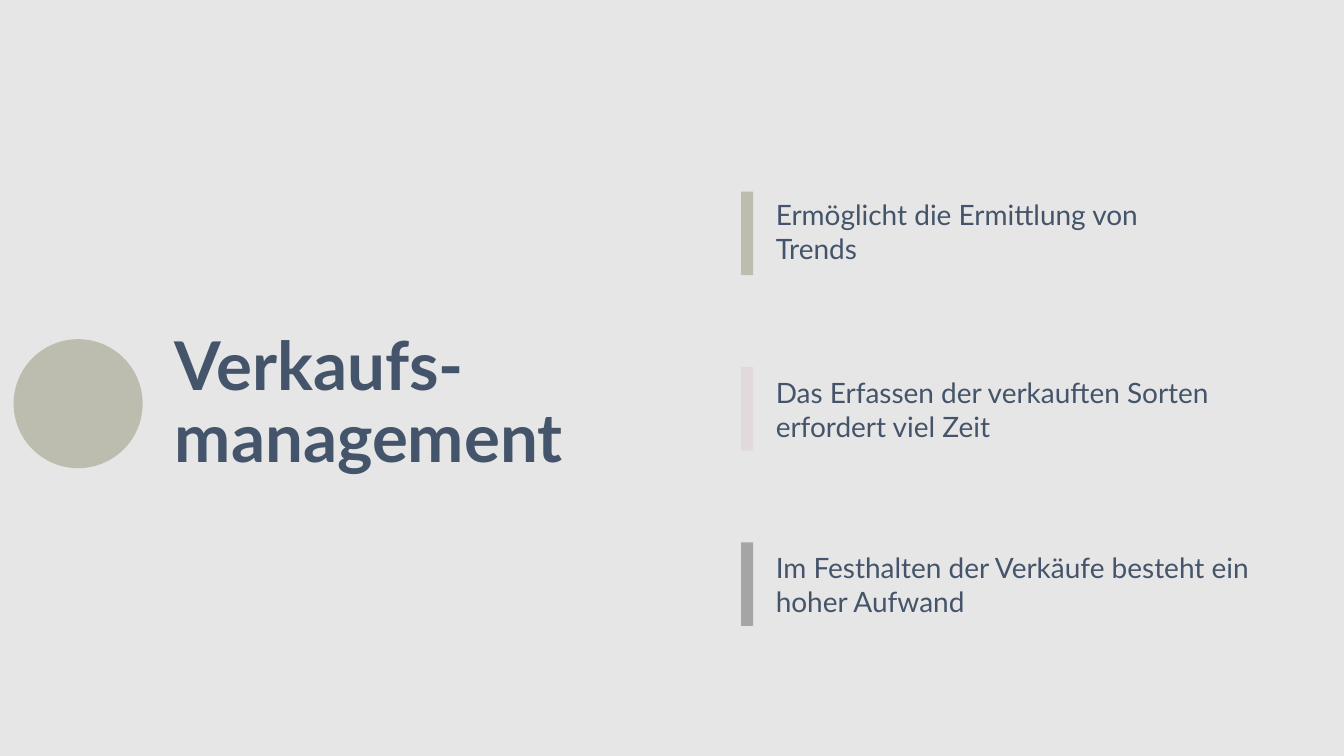
import pptx
import pptx.util
import pptx.dml.color
import pptx.enum.shapes
import pptx.enum.text

EMU_PER_PX = 9144
COLORS = {
    "background": "E7E6E6",
    "text": "44546A",
    "sage": "BCBCAF",
    "rose": "E2D9DD",
    "gray": "A5A5A5",
}
SHAPES = pptx.enum.shapes.MSO_SHAPE


def px(*lengths):
    return [pptx.util.Emu(length * EMU_PER_PX) for length in lengths]


def rgb(color):
    return pptx.dml.color.RGBColor.from_string(COLORS[color])


class SlideBuilder:
    """Draws styled elements on the current slide, measured at 100 px to the inch."""

    def __init__(self, slide, font="Lato"):
        self.slide = slide
        self.font = font

    def background(self, color):
        fill = self.slide.background.fill
        fill.solid()
        fill.fore_color.rgb = rgb(color)

    def block(self, kind, box, color):
        block = self.slide.shapes.add_shape(kind, *px(*box))
        block.shadow.inherit = False
        block.fill.solid()
        block.fill.fore_color.rgb = rgb(color)
        block.line.fill.background()

    def text(self, box, wording, size, bold=False, line_spacing=1.0):
        frame = self.slide.shapes.add_textbox(*px(*box)).text_frame
        frame.word_wrap = True
        frame.auto_size = pptx.enum.text.MSO_AUTO_SIZE.SHAPE_TO_FIT_TEXT
        frame.vertical_anchor = pptx.enum.text.MSO_ANCHOR.BOTTOM
        frame.text = wording
        paragraph = frame.paragraphs[0]
        paragraph.line_spacing = line_spacing
        for run in paragraph.runs:
            run.font.name = self.font
            run.font.size = pptx.util.Pt(size)
            run.font.bold = bold
            run.font.color.rgb = rgb("text")


def main():
    presentation = pptx.Presentation()
    presentation.slide_width, presentation.slide_height = px(2666, 1500)
    builder = SlideBuilder(presentation.slides.add_slide(presentation.slide_layouts[6]))
    builder.background("background")

    builder.block(SHAPES.OVAL, (27, 673, 256, 256), "sage")
    builder.text((337, 651, 1080, 301), "Verkaufs-management", 96, bold=True, line_spacing=0.9)

    statements = [
        ("sage", 386, 763, "Ermöglicht die Ermittlung von Trends"),
        ("rose", 739, 960, "Das Erfassen der verkauften Sorten erfordert viel Zeit"),
        ("gray", 1086, 1025, "Im Festhalten der Verkäufe besteht ein hoher Aufwand"),
    ]
    first_bar_top, bar_pitch = 380, 348
    for index, (color, text_top, text_width, wording) in enumerate(statements):
        bar_top = first_bar_top + index * bar_pitch
        builder.block(SHAPES.RECTANGLE, (1470, bar_top, 24, 166), color)
        builder.text((1529, text_top, text_width, 145), wording, 40)

    presentation.save("out.pptx")


if __name__ == "__main__":
    main()
